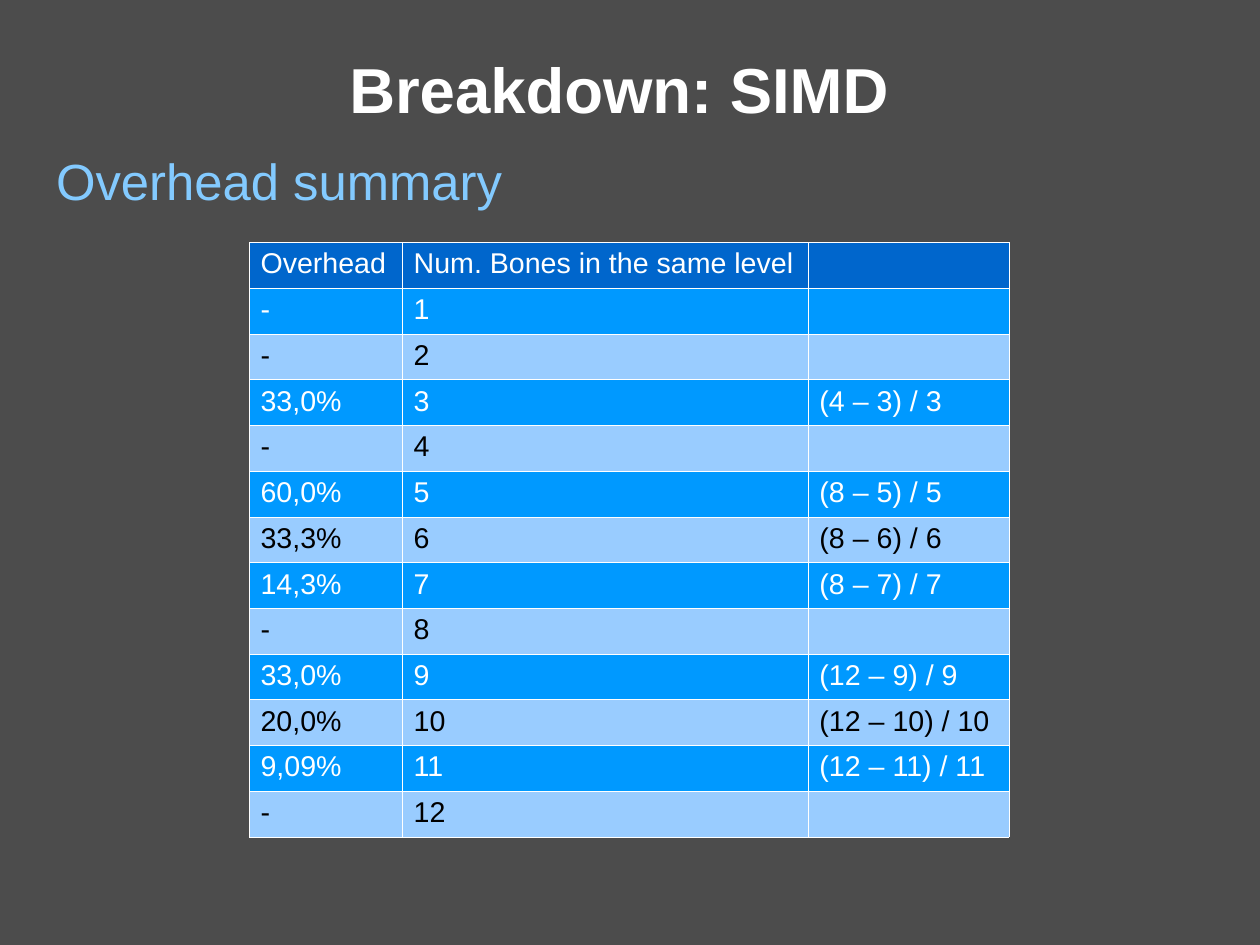
import pptx
import pptx.util
import pptx.dml.color
import pptx.enum.text
import pptx.oxml
import pptx.oxml.ns
from lxml import etree

Inches, Pt, Cm = pptx.util.Inches, pptx.util.Pt, pptx.util.Cm
RGBColor = pptx.dml.color.RGBColor
PP_ALIGN = pptx.enum.text.PP_ALIGN

BACKGROUND = RGBColor(0x4C, 0x4C, 0x4C)
WHITE = RGBColor(0xFF, 0xFF, 0xFF)
BLACK = RGBColor(0x00, 0x00, 0x00)
SKY = RGBColor(0x83, 0xCA, 0xFF)
HEADER_BLUE = RGBColor(0x00, 0x66, 0xCC)
STRONG_BLUE = RGBColor(0x00, 0x99, 0xFF)
PALE_BLUE = RGBColor(0x99, 0xCC, 0xFF)

COLUMN_WIDTHS = (1.34, 3.55, 1.76)
ROW_HEIGHT = 0.4
BORDER = Pt(0.06)

HEADER = ("Overhead", "Num. Bones in the same level", "")
OVERHEADS = (
    ("-", ""),
    ("-", ""),
    ("33,0%", "(4 – 3) / 3"),
    ("-", ""),
    ("60,0%", "(8 – 5) / 5"),
    ("33,3%", "(8 – 6) / 6"),
    ("14,3%", "(8 – 7) / 7"),
    ("-", ""),
    ("33,0%", "(12 – 9) / 9"),
    ("20,0%", "(12 – 10) / 10"),
    ("9,09%", "(12 – 11) / 11"),
    ("-", ""),
)


def set_font(paragraph, size, color, bold=False):
    paragraph.font.color.rgb = color
    for name, value in {"name": "Arial", "size": Pt(size), "bold": bold}.items():
        setattr(paragraph.font, name, value)


def add_borders(cell):
    properties = cell._tc.get_or_add_tcPr()
    for position, side in enumerate(("lnL", "lnR", "lnT", "lnB")):
        line = pptx.oxml.parse_xml(
            f'<a:{side} {pptx.oxml.ns.nsdecls("a")} w="{int(BORDER)}">'
            f'<a:solidFill><a:srgbClr val="{WHITE}"/></a:solidFill></a:{side}>')
        properties.insert(position, line)


deck = pptx.Presentation()
deck.slide_width, deck.slide_height = Cm(28), Cm(21)
slide = deck.slides.add_slide(deck.slide_layouts[1])
slide.background.fill.solid()
slide.background.fill.fore_color.rgb = BACKGROUND

# Title and subtitle
heading, summary = slide.shapes.title, slide.placeholders[1]
headings = (
    (heading, "Breakdown: SIMD", (0.59, 0.39, 9.65, 0.72), 40, WHITE, True, PP_ALIGN.CENTER),
    (summary, "Overhead summary", (0.39, 1.26, 10.04, 0.6), 32, SKY, False, PP_ALIGN.LEFT),
)
for holder, wording, place, size, color, bold, alignment in headings:
    for name, length in zip(("left", "top", "width", "height"), place):
        setattr(holder, name, Inches(length))
    frame_format = {
        "text": wording,
        "word_wrap": True,
        "auto_size": pptx.enum.text.MSO_AUTO_SIZE.NONE,
        "vertical_anchor": pptx.enum.text.MSO_ANCHOR.TOP,
        "margin_top": Inches(0.05),
    }
    for name, value in frame_format.items():
        setattr(holder.text_frame, name, value)
    paragraph = holder.text_frame.paragraphs[0]
    paragraph_properties = paragraph._p.get_or_add_pPr()
    paragraph_properties.set("marL", "0")
    paragraph_properties.set("indent", "0")
    etree.SubElement(paragraph_properties, pptx.oxml.ns.qn("a:buNone"))
    paragraph.alignment = alignment
    paragraph.space_before = Pt(0)
    set_font(paragraph, size, color, bold)

# Overhead table
rows = [HEADER] + [(overhead, str(bones), formula)
                   for bones, (overhead, formula) in enumerate(OVERHEADS, 1)]
overhead_table = slide.shapes.add_table(
    len(rows), len(HEADER), Inches(2.18), Inches(2.12),
    Inches(sum(COLUMN_WIDTHS)), Inches(ROW_HEIGHT * len(rows))).table
overhead_table.first_row = overhead_table.horz_banding = False
for column, width in zip(overhead_table.columns, COLUMN_WIDTHS):
    column.width = Inches(width)

for bones, row in enumerate(rows):
    overhead_table.rows[bones].height = Inches(ROW_HEIGHT)
    if bones == 0:
        fill, ink = HEADER_BLUE, WHITE
    elif bones % 2:
        fill, ink = STRONG_BLUE, WHITE
    else:
        fill, ink = PALE_BLUE, BLACK
    for index, wording in enumerate(row):
        cell = overhead_table.cell(bones, index)
        cell.text = wording
        cell.fill.solid()
        cell.fill.fore_color.rgb = fill
        set_font(cell.text_frame.paragraphs[0], 18, ink)
        add_borders(cell)

deck.save("out.pptx")
